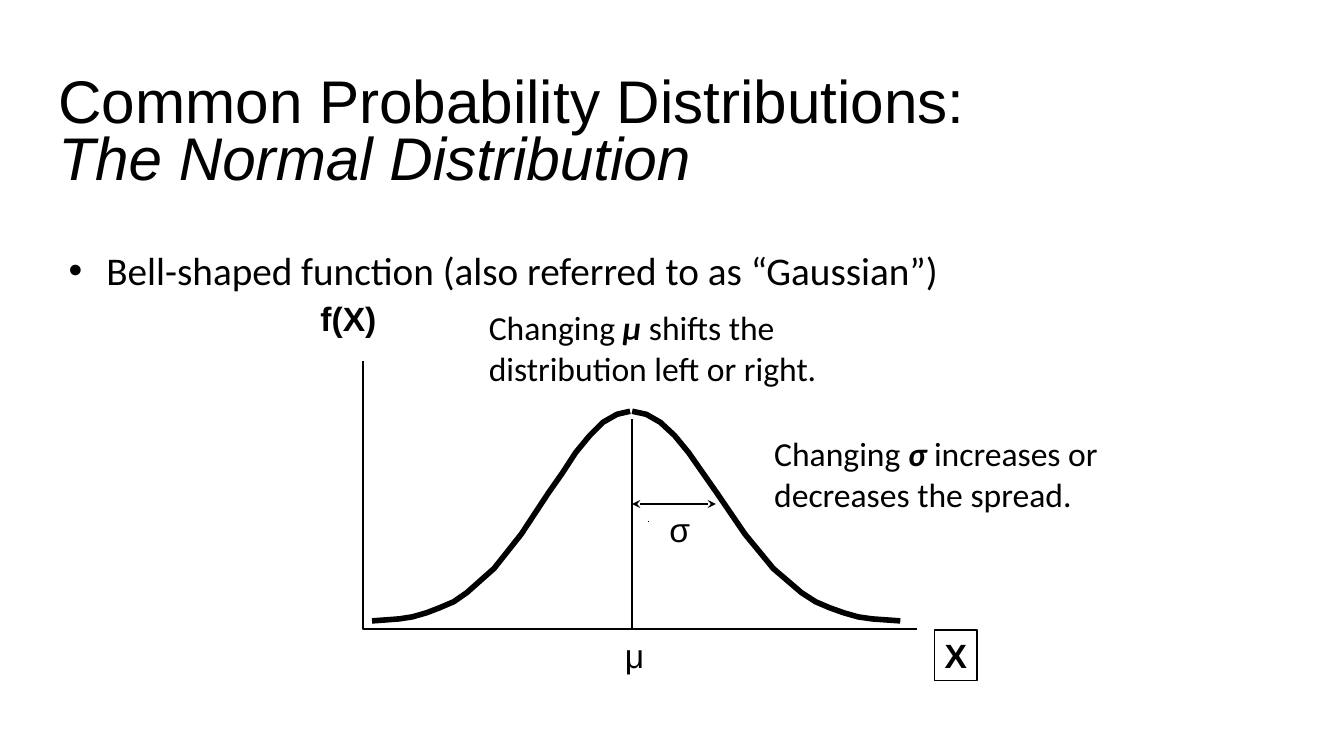
import pptx
import pptx.util
import pptx.dml.color
import pptx.enum.shapes
import pptx.enum.text
import pptx.oxml
import pptx.oxml.ns
import lxml.etree

BLACK = pptx.dml.color.RGBColor(0, 0, 0)
PX = 9144  # 100 px to the inch
ALIGN = pptx.enum.text.PP_ALIGN
ANCHOR = pptx.enum.text.MSO_ANCHOR
AUTO_SIZE = pptx.enum.text.MSO_AUTO_SIZE


def write(shape, runs, font, frame, paragraph_format):
    """Fill a text frame; each run is (text, changes to the font)."""
    text_frame = shape.text_frame
    for name, value in frame.items():
        setattr(text_frame, name, value)
    paragraph = text_frame.paragraphs[0]
    for name, value in paragraph_format.items():
        setattr(paragraph, name, value)
    for text, changes in runs:
        if text == "\n":
            paragraph.add_line_break()
            continue
        run = paragraph.add_run()
        run.text = text
        for name, value in {**font, **changes}.items():
            setattr(run.font, name, value)
        run.font.color.rgb = BLACK


def draw_line(shape, points):
    """Give a line or outline its black stroke, without a shadow."""
    shape.line.color.rgb = BLACK
    shape.line.width = pptx.util.Pt(points)
    properties = shape._element.spPr
    if properties.find(pptx.oxml.ns.qn("a:effectLst")) is None:
        lxml.etree.SubElement(properties, pptx.oxml.ns.qn("a:effectLst"))


presentation = pptx.Presentation()
presentation.slide_width = 1333 * PX
presentation.slide_height = 750 * PX
slide = presentation.slides.add_slide(presentation.slide_layouts[1])
shapes = slide.shapes

# Title and list
title, body = shapes.title, slide.placeholders[1]
for placeholder, box in ((title, (58, 75, 1226, 117)), (body, (58, 239, 892, 57))):
    for name, value in zip(("left", "top", "width", "height"), box):
        setattr(placeholder, name, value * PX)
margins = {"margin_left": 0, "margin_top": 0, "margin_right": 0, "margin_bottom": 0}
write(title,
      [("Common Probability Distributions: ", {}), ("\n", {}),
       ("The Normal Distribution", {"italic": True})],
      {"name": "Arial", "size": pptx.util.Pt(43)},
      {**margins, "vertical_anchor": ANCHOR.MIDDLE, "auto_size": AUTO_SIZE.NONE},
      {"alignment": ALIGN.LEFT, "line_spacing": 0.8})
write(body,
      [("Bell-shaped function (also referred to as “Gaussian”)", {})],
      {"name": "Calibri", "size": pptx.util.Pt(28)},
      {"vertical_anchor": ANCHOR.TOP, "auto_size": AUTO_SIZE.NONE},
      {"space_before": pptx.util.Pt(0)})

# Axes
builder = shapes.build_freeform(360, 358, scale=PX)
builder.add_line_segments([(360, 624), (910, 624)], close=False)
axes = builder.convert_to_shape()
axes.fill.background()
draw_line(axes, 2)

# Bell curve: two halves over the same heights
STEPS = [0, 2, 3, 4, 5, 6, 7, 9, 11, 13, 14, 15, 16, 17, 18, 19]
HEIGHTS = [616, 614, 612, 608, 603, 597, 588, 564, 530, 489, 469, 449, 432, 419, 411, 408]
for foot, peak in ((893, 627), (369, 625)):
    points = [(round(foot + (peak - foot) * step / STEPS[-1]), height)
              for step, height in zip(STEPS, HEIGHTS)]
    builder = shapes.build_freeform(*points[0], scale=PX)
    builder.add_line_segments(points[1:], close=False)
    half = builder.convert_to_shape()
    half.fill.background()
    draw_line(half, 4)

# Mean line, spread arrow and small mark
for ends, has_arrows in (((627, 416, 627, 625), False),
                         ((627, 500, 710, 500), True),
                         ((643, 517, 643, 518), False)):
    connector = shapes.add_connector(pptx.enum.shapes.MSO_CONNECTOR.STRAIGHT,
                                     *(value * PX for value in ends))
    draw_line(connector, 1)
    if has_arrows:
        for tag in ("a:headEnd", "a:tailEnd"):
            arrowhead = lxml.etree.SubElement(connector.line._get_or_add_ln(),
                                              pptx.oxml.ns.qn(tag))
            arrowhead.set("type", "stealth")

# Labels and remarks
BOLD = {"bold": True}
STRONG = {"bold": True, "italic": True}
LABELS = [
    ((927, 625, 42, 50), "Arial", False, [("X", BOLD)]),
    ((308, 291, 76, 50), "Arial", False, [("f(X)", BOLD)]),
    ((610, 625, 52, 50), "Arial", True, [("μ", {})]),
    ((654, 500, 52, 50), "Arial", True, [("σ", {})]),
    ((475, 300, 417, 91), "Calibri", True,
     [("Changing ", {}), ("μ ", STRONG), ("shifts the distribution left or right.", {})]),
    ((758, 425, 375, 91), "Calibri", True,
     [("Changing ", {}), ("σ", STRONG), (" increases or decreases the spread.", {})]),
]
for box, font_name, wraps, runs in LABELS:
    label = shapes.add_textbox(*(value * PX for value in box))
    write(label, runs, {"name": font_name, "size": pptx.util.Pt(24)},
          {"word_wrap": wraps, "auto_size": AUTO_SIZE.SHAPE_TO_FIT_TEXT},
          {"alignment": ALIGN.LEFT})
    if runs[0][0] == "X":
        draw_line(label, 1)

presentation.save("out.pptx")
